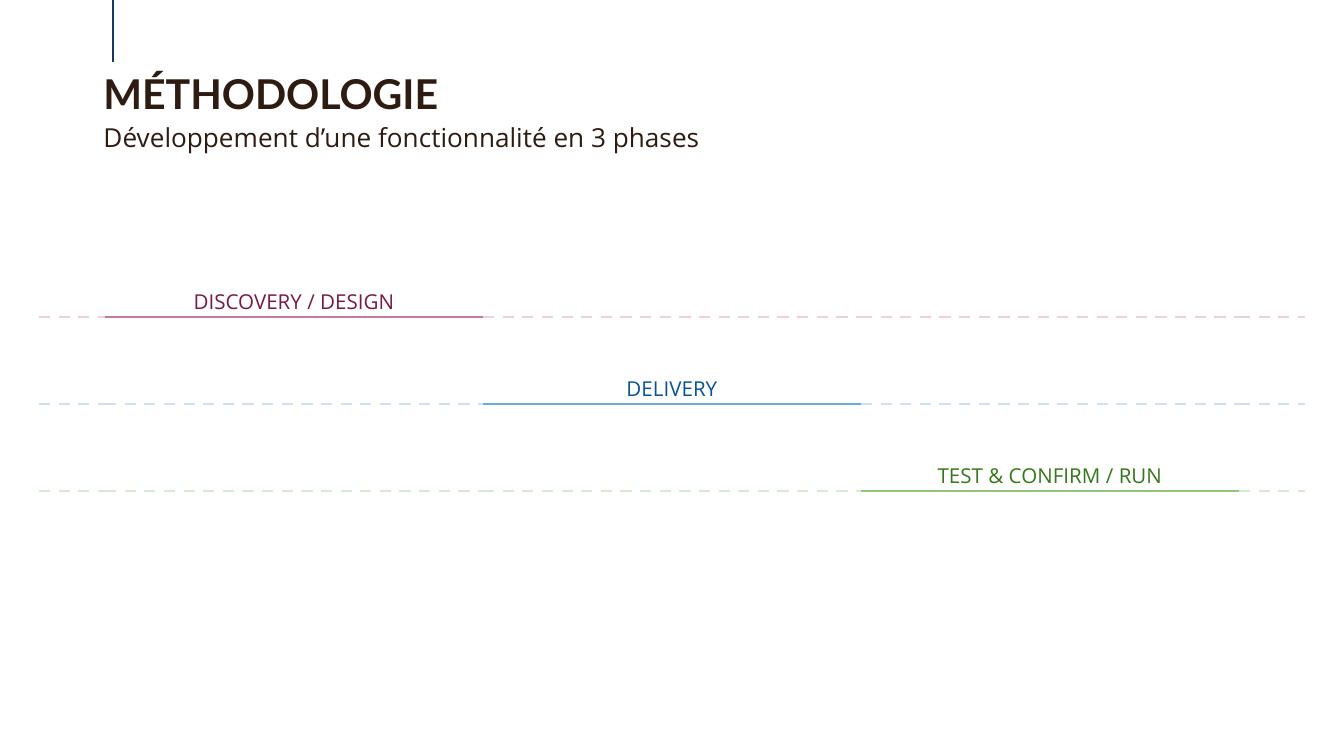
from lxml.etree import SubElement
from pptx import Presentation
from pptx.dml.color import RGBColor
from pptx.enum.dml import MSO_LINE
from pptx.enum.shapes import MSO_CONNECTOR
from pptx.enum.text import MSO_ANCHOR, MSO_AUTO_SIZE, PP_ALIGN
from pptx.oxml.ns import qn
from pptx.util import Inches, Pt

TITLE = "MÉTHODOLOGIE"
SUBTITLE = "Développement d’une fonctionnalité en 3 phases"
PHASES = [
    ("DISCOVERY / DESIGN", "plum"),
    ("DELIVERY", "blue"),
    ("TEST & CONFIRM / RUN", "green"),
]
COLORS = {
    "text": "2E1B11", "accent": "173A65",
    "plum": "741B47", "plum_line": "C27BA0", "plum_dash": "EAD1DC",
    "blue": "0B5394", "blue_line": "6FA8DC", "blue_dash": "CFE2F3",
    "green": "38761D", "green_line": "93C47D", "green_dash": "D9EAD3",
}
LEFT, RIGHT = 39, 1305
TRACK_X, PHASE_W = 105, 378
ROW_Y, ROW_STEP = 317, 87
LABEL_PAD, LABEL_RISE, LABEL_H = 7, 24, 16


def px(n):
    return round(n * 914400 / 134.4)


def place(s, x, y, w, h):
    s.left, s.top, s.width, s.height = px(x), px(y), px(w), px(h)


def write(s, text, size, color, font="Open Sans", bold=False,
          align=PP_ALIGN.LEFT, anchor=MSO_ANCHOR.TOP, spacing=1.0, after=0):
    tf = s.text_frame
    tf.word_wrap = True
    tf.auto_size = MSO_AUTO_SIZE.NONE
    tf.vertical_anchor = anchor
    tf.margin_left = tf.margin_right = Inches(0.1)
    tf.margin_top = tf.margin_bottom = Inches(0.1)
    p = tf.paragraphs[0]
    p.alignment, p.line_spacing = align, spacing
    p.space_before, p.space_after = Pt(0), Pt(after)
    r = p.add_run()
    r.text = text
    r.font.name, r.font.size, r.font.bold = font, Pt(size), bold
    r.font.color.rgb = RGBColor.from_string(COLORS[color])


def draw_line(slide, x1, y1, x2, y2, color, dashed=False):
    c = slide.shapes.add_connector(
        MSO_CONNECTOR.STRAIGHT, px(x1), px(y1), px(x2), px(y2))
    c.line.color.rgb = RGBColor.from_string(COLORS[color])
    c.line.width = Pt(1.5)
    if dashed:
        c.line.dash_style = MSO_LINE.DASH
    SubElement(c._element.spPr, qn("a:effectLst"))


def main():
    prs = Presentation()
    prs.slide_width, prs.slide_height = px(1344), px(756)
    slide = prs.slides.add_slide(prs.slide_layouts[0])

    draw_line(slide, 113, 0, 113, 62, "accent")
    title, subtitle = slide.placeholders
    place(title, 90, 55, 689, 138)
    write(title, TITLE, 22, "text", font="Lato", bold=True)
    place(subtitle, 90, 103, 1292, 59)
    write(subtitle, SUBTITLE, 14, "text", spacing=1.15, after=16)

    stops = [TRACK_X + i * PHASE_W for i in range(len(PHASES) + 1)]
    edges = [LEFT, *stops, RIGHT]
    for row, (label, hue) in enumerate(PHASES):
        y = ROW_Y + row * ROW_STEP
        for i, (x1, x2) in enumerate(zip(edges, edges[1:])):
            active = i == row + 1
            kind = "line" if active else "dash"
            draw_line(slide, x1, y, x2, y, f"{hue}_{kind}", dashed=not active)
        s = slide.shapes.add_textbox(0, 0, 0, 0)
        place(s, stops[row] + LABEL_PAD, y - LABEL_RISE,
              PHASE_W - 2 * LABEL_PAD, LABEL_H)
        write(s, label, 11, hue, align=PP_ALIGN.CENTER,
              anchor=MSO_ANCHOR.MIDDLE)

    prs.save("out.pptx")


if __name__ == "__main__":
    main()
